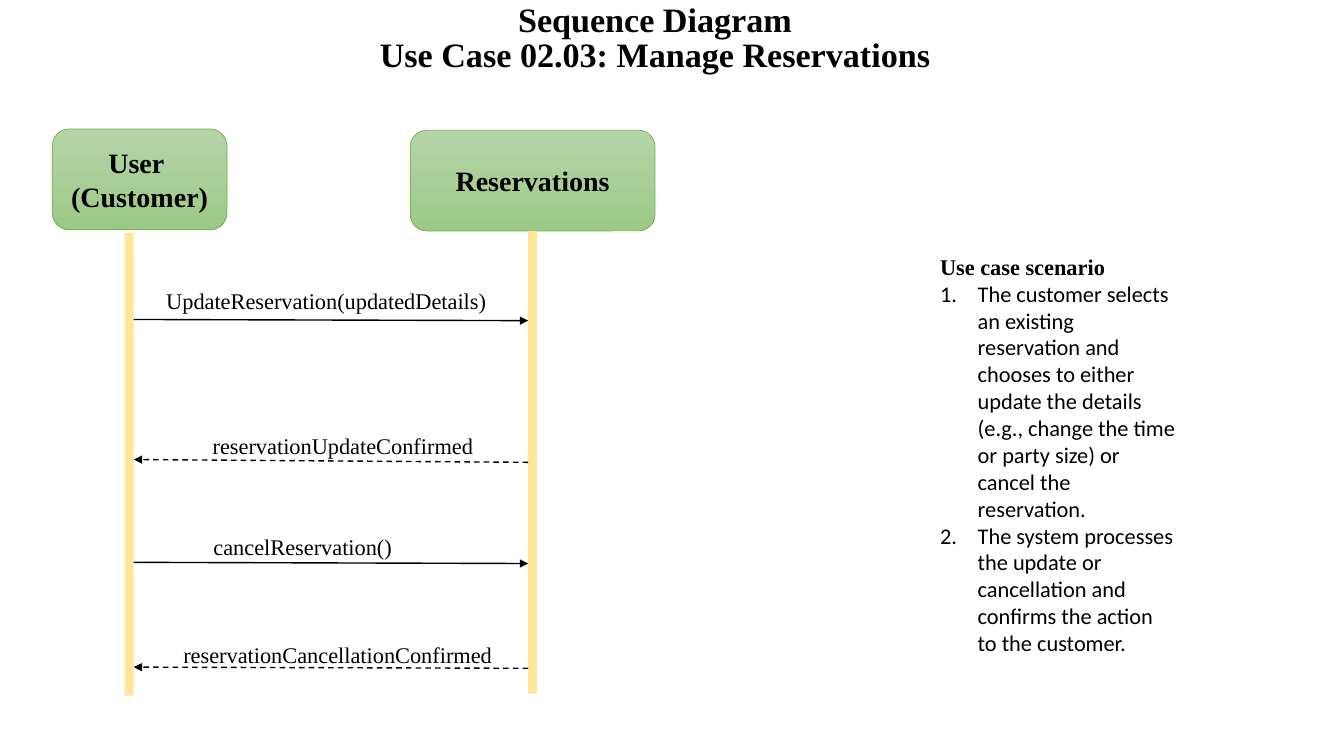
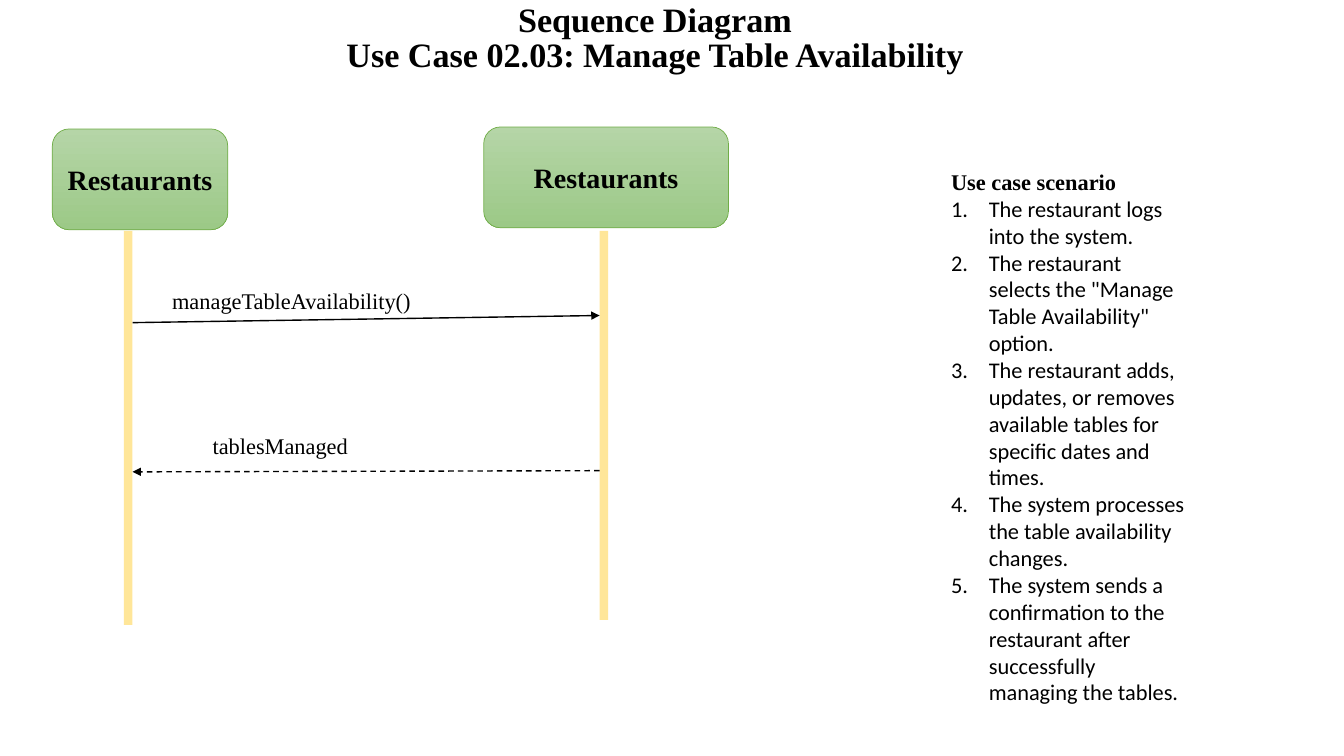
from copy import deepcopy

from lxml.etree import SubElement
from pptx import Presentation
from pptx.dml.color import RGBColor
from pptx.enum.dml import MSO_LINE
from pptx.enum.shapes import MSO_CONNECTOR, MSO_SHAPE
from pptx.enum.text import MSO_ANCHOR, MSO_AUTO_SIZE, PP_ALIGN
from pptx.oxml.ns import qn
from pptx.util import Cm, Pt

COLOURS = {
    "text": "000000",
    "head_top": "B5D5A7",
    "head_bottom": "9CC987",
    "head_edge": "70AD47",
    "lifeline": "FFE699",
}
SERIF = "Times New Roman"
SANS = "Calibri"
LEFT, RIGHT = 1, 3  # connection sites of a rectangle
JOIN_TOLERANCE = Cm(0.05)

# Heads: text, left, top, width. Lifelines: left, top, height.
# Messages: label, left, top, width, then arrow height at its start and end.
DIAGRAMS = [
    {
        "title": "Sequence Diagram\nUse Case 02.03: Manage Reservations",
        "heads": [("User \n(Customer)", 1.32, 3.25, 4.4),
                  ("Reservations", 10.34, 3.28, 6.17)],
        "lifelines": [(3.15, 5.87, 11.66), (13.31, 5.82, 11.66)],
        "calls": [
            ("UpdateReservation(updatedDetails)", 3.94, 7.11, 9.04, 8.05, 8.08),
            ("cancelReservation()", 5.13, 13.31, 9.02, 14.17, 14.2),
        ],
        "replies": [
            ("reservationUpdateConfirmed", 5.11, 10.77, 9.04, 11.63, 11.58),
            ("reservationCancellationConfirmed", 4.37, 16.03, 8.56, 16.84, 16.81),
        ],
        "scenario_box": (23.44, 6.25, 6.45, 12.57),
        "steps": [
            "The customer selects an existing reservation and chooses to either "
            "update the details (e.g., change the time or party size) or cancel "
            "the reservation.",
            "The system processes the update or cancellation and confirms the "
            "action to the customer.",
        ],
    },
    {
        "title": "Sequence Diagram\nUse Case 02.03: Manage Table Availability",
        "heads": [("Restaurants", 1.32, 3.25, 4.42),
                  ("Restaurants", 12.19, 3.2, 6.17)],
        "lifelines": [(3.12, 5.82, 9.93), (15.11, 5.82, 9.8)],
        "calls": [("manageTableAvailability()", 4.09, 7.11, 8.43, 8.13, 7.95)],
        "replies": [("tablesManaged", 5.11, 10.77, 9.04, 11.86, 11.89)],
        "scenario_box": (23.72, 4.11, 6.45, 15.98),
        "steps": [
            "The restaurant logs into the system.",
            'The restaurant selects the "Manage Table Availability" option.',
            "The restaurant adds, updates, or removes available tables for "
            "specific dates and times.",
            "The system processes the table availability changes.",
            "The system sends a confirmation to the restaurant after "
            "successfully managing the tables.",
        ],
    },
]


def colour(name):
    return RGBColor.from_string(COLOURS[name])


def write(paragraph, text, *, size=16, font=SERIF, bold=False,
          align=PP_ALIGN.LEFT, spacing=None, numbered=False):
    """Fill a paragraph; a newline in the text becomes a line break."""
    paragraph.text = text
    paragraph.alignment = align
    if spacing:
        paragraph.line_spacing = spacing
    for run in paragraph.runs:
        run.font.size = Pt(size)
        run.font.name = font
        run.font.bold = bold
        run.font.color.rgb = colour("text")
    for line_break in paragraph._p.findall(qn("a:br")):
        line_break.append(deepcopy(paragraph.runs[0]._r.rPr))
    if numbered:
        properties = paragraph._p.get_or_add_pPr()
        properties.set("marL", str(Cm(0.95)))
        properties.set("indent", str(-Cm(0.95)))
        SubElement(properties, qn("a:buFont"), typeface="+mj-lt")
        SubElement(properties, qn("a:buAutoNum"), type="arabicPeriod")


def set_title(slide, text):
    title = slide.shapes.title
    title.left, title.top = Cm(-0.43), Cm(0)
    title.width, title.height = Cm(33.87), Cm(2.03)
    frame = title.text_frame
    frame.auto_size = MSO_AUTO_SIZE.NONE
    frame.vertical_anchor = MSO_ANCHOR.TOP
    write(frame.paragraphs[0], text, size=24.4, bold=True,
          align=PP_ALIGN.CENTER, spacing=0.84)


def add_text_frame(slide, left, top, width, height):
    box = slide.shapes.add_textbox(Cm(left), Cm(top), Cm(width), Cm(height))
    box.text_frame.word_wrap = True
    box.text_frame.auto_size = MSO_AUTO_SIZE.SHAPE_TO_FIT_TEXT
    return box.text_frame


def add_head(slide, text, left, top, width):
    head = slide.shapes.add_shape(MSO_SHAPE.ROUNDED_RECTANGLE, Cm(left),
                                  Cm(top), Cm(width), Cm(2.54))
    head.shadow.inherit = False
    head.fill.gradient()
    head.fill.gradient_angle = 270
    for stop, name in zip(head.fill.gradient_stops, ("head_top", "head_bottom")):
        stop.color.rgb = colour(name)
    head.line.color.rgb = colour("head_edge")
    head.line.width = Pt(0.5)
    frame = head.text_frame
    frame.vertical_anchor = MSO_ANCHOR.MIDDLE
    frame.margin_left = frame.margin_right = Cm(0.1)
    for index, line in enumerate(text.split("\n")):
        paragraph = frame.add_paragraph() if index else frame.paragraphs[0]
        write(paragraph, line, size=20, bold=True, align=PP_ALIGN.CENTER)


def add_lifeline(slide, left, top, height):
    lifeline = slide.shapes.add_shape(MSO_SHAPE.RECTANGLE, Cm(left), Cm(top),
                                      Cm(0.22), Cm(height))
    lifeline.shadow.inherit = False
    lifeline.fill.solid()
    lifeline.fill.fore_color.rgb = colour("lifeline")
    lifeline.line.fill.background()
    return lifeline


def is_middle(lifeline, y):
    return abs(lifeline.top + lifeline.height / 2 - y) <= JOIN_TOLERANCE


def add_message(slide, caller, receiver, message, *, reply=False):
    """Label an arrow that runs between the facing sides of two lifelines."""
    text, left, top, width, start, end = message
    label = add_text_frame(slide, left, top, width, 0.94)
    write(label.paragraphs[0], text)

    near, far = caller.left + caller.width, receiver.left
    ends = [(caller, RIGHT, near), (receiver, LEFT, far)]
    if reply:
        ends.reverse()
    (source, source_side, start_x), (target, target_side, end_x) = ends
    start_y, end_y = Cm(start), Cm(end)
    arrow = slide.shapes.add_connector(MSO_CONNECTOR.STRAIGHT, start_x, start_y,
                                       end_x, end_y)
    if is_middle(source, start_y):
        arrow.begin_connect(source, source_side)
    if is_middle(target, end_y):
        arrow.end_connect(target, target_side)
    arrow.line.color.rgb = colour("text")
    arrow.line.width = Pt(1)
    if reply:
        arrow.line.dash_style = MSO_LINE.DASH
    SubElement(arrow.line._get_or_add_ln(), qn("a:tailEnd"), type="triangle")
    SubElement(arrow._element.spPr, qn("a:effectLst"))


def add_scenario(slide, box, steps):
    frame = add_text_frame(slide, *box)
    write(frame.paragraphs[0], "Use case scenario", bold=True)
    for step in steps:
        write(frame.add_paragraph(), step, font=SANS, numbered=True)


def add_diagram(presentation, diagram):
    slide = presentation.slides.add_slide(presentation.slide_layouts[5])
    set_title(slide, diagram["title"])
    for head in diagram["heads"]:
        add_head(slide, *head)
    caller, receiver = [add_lifeline(slide, *place)
                        for place in diagram["lifelines"]]
    for message in diagram["calls"]:
        add_message(slide, caller, receiver, message)
    for message in diagram["replies"]:
        add_message(slide, caller, receiver, message, reply=True)
    add_scenario(slide, diagram["scenario_box"], diagram["steps"])


def main():
    presentation = Presentation()
    presentation.slide_width = Cm(33.87)
    presentation.slide_height = Cm(19.05)
    for diagram in DIAGRAMS:
        add_diagram(presentation, diagram)
    presentation.save("out.pptx")


if __name__ == "__main__":
    main()
